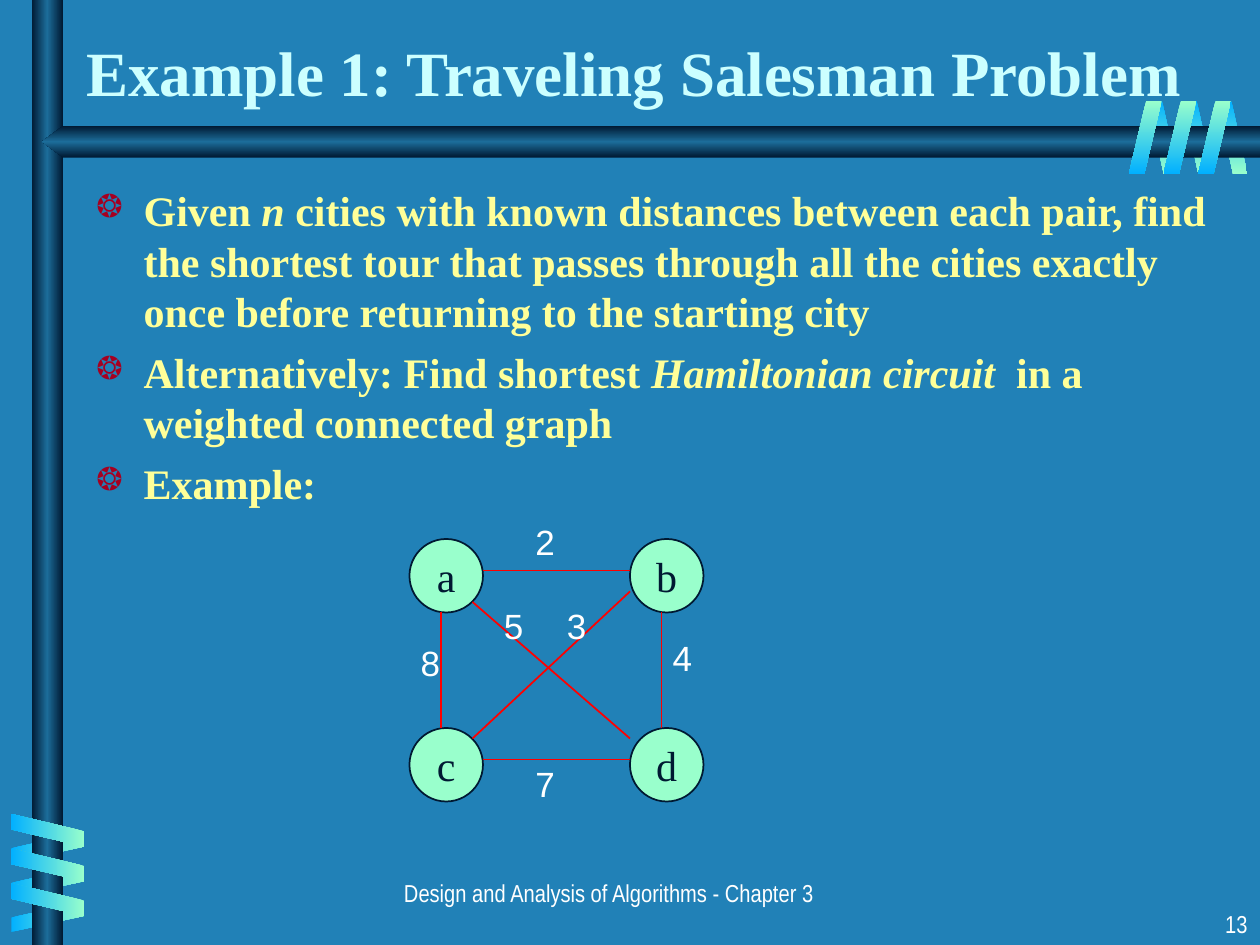
from dataclasses import dataclass

from lxml import etree
from pptx import Presentation
from pptx.dml.color import RGBColor
from pptx.enum.shapes import MSO_CONNECTOR, MSO_SHAPE
from pptx.enum.text import MSO_ANCHOR, MSO_AUTO_SIZE, PP_ALIGN
from pptx.oxml.ns import qn
from pptx.util import Pt

LEFT, CENTER, RIGHT = PP_ALIGN.LEFT, PP_ALIGN.CENTER, PP_ALIGN.RIGHT
TOP, MIDDLE, BOTTOM = MSO_ANCHOR.TOP, MSO_ANCHOR.MIDDLE, MSO_ANCHOR.BOTTOM
RECTANGLE, OVAL = MSO_SHAPE.RECTANGLE, MSO_SHAPE.OVAL
PARALLELOGRAM = MSO_SHAPE.PARALLELOGRAM
STRAIGHT = MSO_CONNECTOR.STRAIGHT


@dataclass(frozen=True)
class Theme:
    background: str = "2181B7"
    title: str = "CCFFFF"
    body: str = "FFFF99"
    bullet: str = "A50021"
    light: str = "FFFFFF"
    dark: str = "001932"
    vertex: str = "99FFCC"
    edge: str = "FF0000"
    ribbon_front: tuple = ((0, "99FFCC"), (100, "01B0FF"))
    ribbon_back: tuple = ((0, "01B0FF"), (100, "99FFCC"))
    rail: tuple = ((0, "001932"), (50, "1C6D9A"), (100, "001932"))
    serif: str = "Times New Roman"
    sans: str = "Arial"
    narrow: str = "Arial Narrow"
    title_size: int = 36
    body_size: int = 24
    weight_size: int = 20
    footer_size: int = 14


class SlideBuilder:
    """Holds the theme and the current slide, and draws each kind of element."""

    def __init__(self, page, theme):
        self.page = page
        self.theme = theme
        page.background.fill.solid()
        page.background.fill.fore_color.rgb = RGBColor.from_string(theme.background)

    def style(self, font, name, size, color, bold=False):
        font.name, font.size, font.bold = name, Pt(size), bold
        font.color.rgb = RGBColor.from_string(color)

    def gradient(self, shape, stops, angle):
        """Gradient that keeps its direction when the shape is rotated."""
        shape.shadow.inherit = False
        shape.line.fill.background()
        shape.fill.gradient()
        shape.fill.gradient_angle = 360 - angle
        gradient = shape._element.spPr.find(qn("a:gradFill"))
        gradient.set("rotWithShape", "0")
        stop_list = gradient.find(qn("a:gsLst"))
        for old_stop in list(stop_list):
            stop_list.remove(old_stop)
        for position, color in stops:
            stop = etree.SubElement(stop_list, qn("a:gs"), pos=str(position * 1000))
            etree.SubElement(stop, qn("a:srgbClr"), val=color)

    def ribbon(self, left, top, width, rotation, stops, angle, flip=False):
        shape = self.page.shapes.add_shape(
            PARALLELOGRAM, Pt(left), Pt(top), Pt(width), Pt(41.76))
        shape.adjustments[0] = 0.53
        shape.rotation = rotation
        if flip:
            shape._element.spPr.find(qn("a:xfrm")).set("flipH", "1")
        self.gradient(shape, stops, angle)

    def column(self, left, top, width, height):
        shape = self.page.shapes.add_shape(
            RECTANGLE, Pt(left), Pt(top), Pt(width), Pt(height))
        self.gradient(shape, self.theme.rail, 180)

    def beam(self, points):
        corners = [(Pt(x), Pt(y)) for x, y in points]
        builder = self.page.shapes.build_freeform(*corners[0])
        builder.add_line_segments(corners[1:], close=True)
        self.gradient(builder.convert_to_shape(), self.theme.rail, 90)

    def title(self, text, left, top, width, height):
        box = self.page.shapes.title
        box.left, box.top, box.width, box.height = map(Pt, (left, top, width, height))
        frame = box.text_frame
        frame.text = text
        frame.auto_size = MSO_AUTO_SIZE.NONE
        frame.vertical_anchor = BOTTOM
        para = frame.paragraphs[0]
        para.alignment = LEFT
        self.style(para.runs[0].font, self.theme.serif, self.theme.title_size,
                   self.theme.title, bold=True)
        # Bring the title in front of the decoration
        self.page.shapes._spTree.append(box._element)

    def text(self, text, left, top, width, height, font, size, align, wrap=True):
        box = self.page.shapes.add_textbox(Pt(left), Pt(top), Pt(width), Pt(height))
        frame = box.text_frame
        frame.text = text
        frame.word_wrap = wrap
        frame.vertical_anchor = TOP
        para = frame.paragraphs[0]
        para.alignment = align
        self.style(para.runs[0].font, font, size, self.theme.light)

    def bullets(self, items, left, top, width, height):
        """Each item is a list of (text, italic) spans."""
        box = self.page.shapes.add_textbox(Pt(left), Pt(top), Pt(width), Pt(height))
        frame = box.text_frame
        frame.word_wrap = True
        for index, spans in enumerate(items):
            para = frame.add_paragraph() if index else frame.paragraphs[0]
            para.space_before = Pt(6 if index else 0)
            properties = para._p.get_or_add_pPr()
            properties.set("marL", str(Pt(27)))
            properties.set("indent", str(-Pt(27)))
            color = etree.SubElement(properties, qn("a:buClr"))
            etree.SubElement(color, qn("a:srgbClr"), val=self.theme.bullet)
            etree.SubElement(properties, qn("a:buSzPct"), val="75000")
            etree.SubElement(properties, qn("a:buChar"), char="❂")
            for text, italic in spans:
                span = para.add_run()
                span.text = text
                self.style(span.font, self.theme.serif, self.theme.body_size,
                           self.theme.body, bold=True)
                span.font.italic = italic

    def vertex(self, name, left, top, size):
        shape = self.page.shapes.add_shape(OVAL, Pt(left), Pt(top), Pt(size), Pt(size))
        shape.shadow.inherit = False
        shape.fill.solid()
        shape.fill.fore_color.rgb = RGBColor.from_string(self.theme.vertex)
        shape.line.color.rgb = RGBColor.from_string(self.theme.dark)
        shape.line.width = Pt(1)
        frame = shape.text_frame
        frame.text = name
        frame.word_wrap = False
        frame.vertical_anchor = MIDDLE
        para = frame.paragraphs[0]
        para.alignment = CENTER
        self.style(para.runs[0].font, self.theme.serif, self.theme.body_size,
                   self.theme.dark)

    def edge(self, start, end):
        line = self.page.shapes.add_connector(STRAIGHT, *map(Pt, (*start, *end)))
        line.line.color.rgb = RGBColor.from_string(self.theme.edge)
        line.line.width = Pt(1)
        etree.SubElement(line._element.spPr, qn("a:effectLst"))


def main():
    theme = Theme()
    deck = Presentation()
    deck.slide_width, deck.slide_height = Pt(720), Pt(540)
    slide = SlideBuilder(deck.slides.add_slide(deck.slide_layouts[5]), theme)

    # Rails with ribbons wound around them: back strands, rails, front strands
    turns = [19.8 * turn for turn in (2, 1, 0)]
    for turn in turns:
        slide.ribbon(655.92 + turn, 57.6, 17.28, 180, theme.ribbon_back, 90, flip=True)
    for turn in reversed(turns):
        slide.ribbon(18.72, 463.3 + turn, 17.28, 90, theme.ribbon_back, 180, flip=True)
    slide.column(18, 0, 18, 540)
    slide.beam([(720, 72), (36, 72), (24, 81), (36, 90), (720, 90)])
    for turn in reversed(turns):
        slide.ribbon(18, 453.6 + turn, 18.72, 270, theme.ribbon_front, 180)
    for turn in turns:
        slide.ribbon(645.12 + turn, 57.6, 18.72, 0, theme.ribbon_front, 90)

    # Title and problem statement
    slide.title("Example 1: Traveling Salesman Problem", 42, 12, 678, 54)
    slide.bullets([
        [("Given ", False), ("n", True),
         (" cities with known distances between each pair, find the shortest tour "
          "that passes through all the cities exactly once before returning to "
          "the starting city", False)],
        [("Alternatively: Find shortest ", False), ("Hamiltonian circuit", True),
         ("  in a weighted connected graph", False)],
        [("Example:", False)],
    ], 48, 102, 654, 386)

    # Weighted graph: vertices on a two by two grid
    for index, name in enumerate("abcd"):
        row, column = divmod(index, 2)
        slide.vertex(name, 234 + 126 * column, 308 + 108 * row, 42)

    # Each edge has its weight and the top left corner of the weight's label
    edges = [
        ((276, 326), (360, 326), "2", (298.8, 293.8)),
        ((252, 350), (252, 416), "8", (233.3, 362.9)),
        ((276, 434), (360, 434), "7", (298.8, 432)),
        ((378, 350), (378, 416), "4", (377.3, 360)),
        ((270, 344), (360, 422), "5", (280.8, 342)),
        ((360, 338), (270, 422), "3", (316.8, 342)),
    ]
    for start, end, _, _ in edges:
        slide.edge(start, end)
    for _, _, weight, corner in edges:
        slide.text(weight, *corner, 25.2, 31.7, theme.sans, theme.weight_size,
                   CENTER, wrap=False)

    # Footer and page number
    slide.text("Design and Analysis of Algorithms - Chapter 3", 96, 498, 504, 24,
               theme.narrow, theme.footer_size, CENTER)
    slide.text("13", 570, 516, 150, 24, theme.narrow, theme.footer_size, RIGHT)

    deck.save("out.pptx")


if __name__ == "__main__":
    main()
